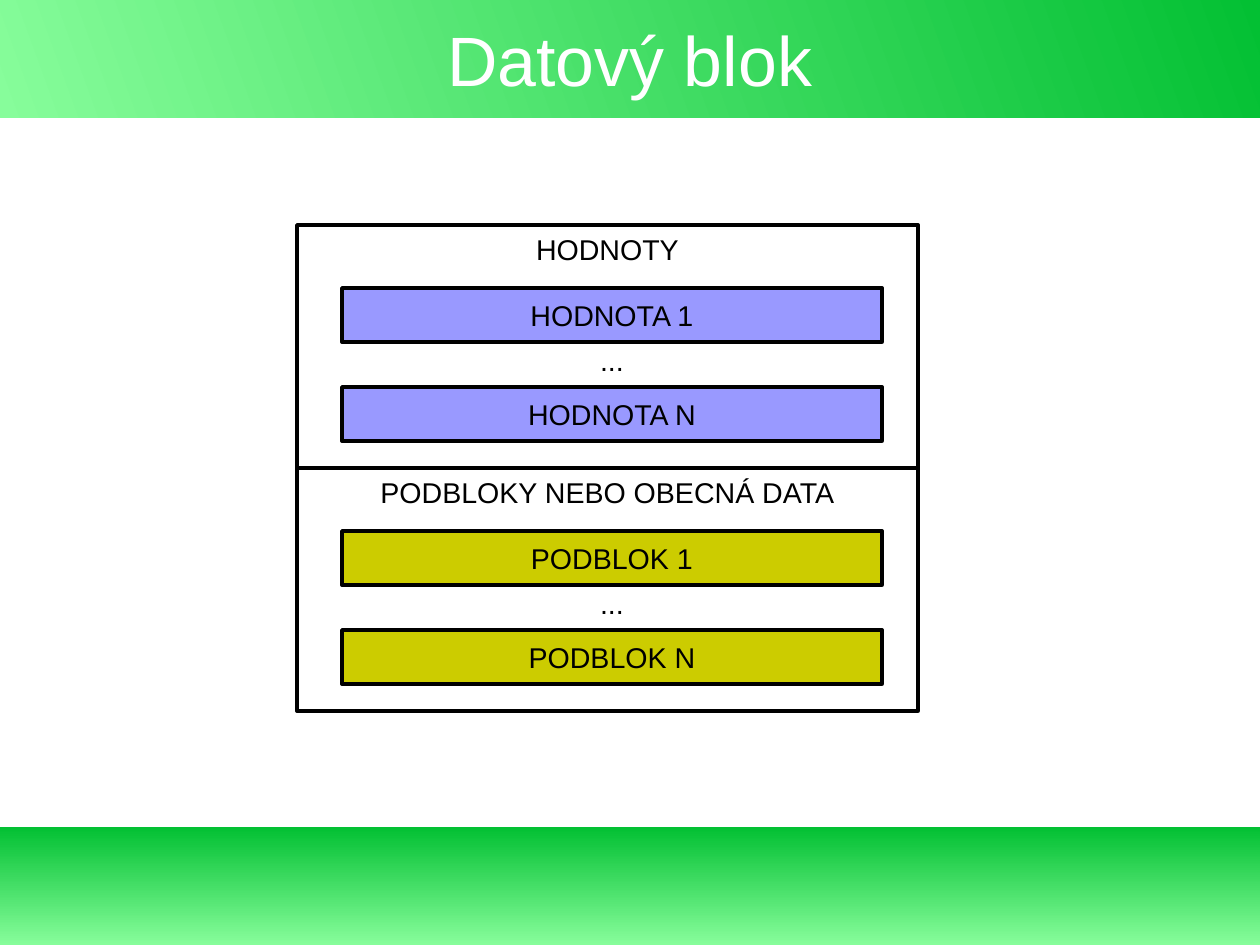
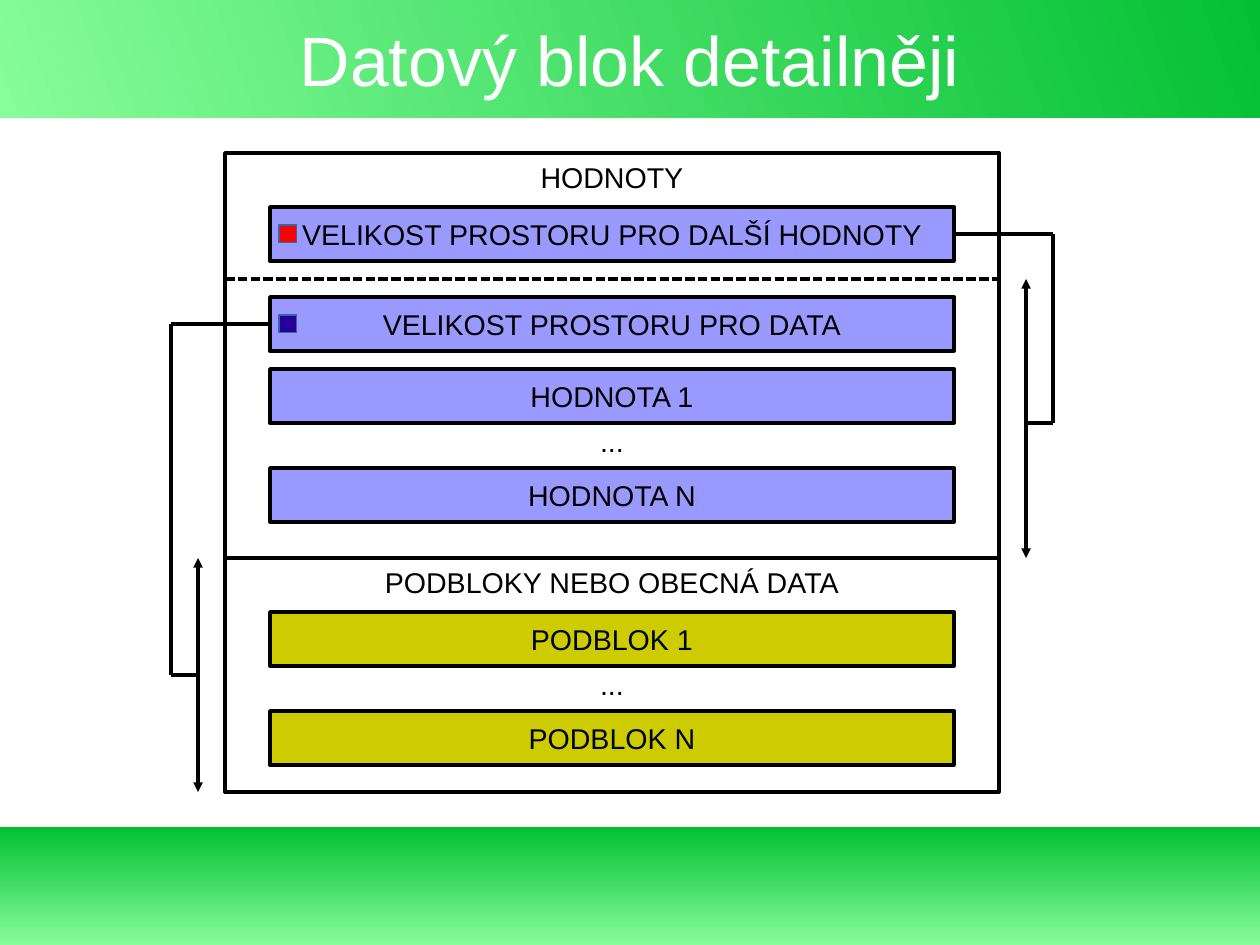
"""Builds two slides that explain the layout of a data block."""
from itertools import pairwise

from lxml.etree import SubElement
from pptx import Presentation
from pptx.dml.color import RGBColor
from pptx.enum.dml import MSO_LINE
from pptx.enum.shapes import MSO_CONNECTOR, MSO_SHAPE
from pptx.enum.text import MSO_ANCHOR, PP_ALIGN
from pptx.oxml.ns import qn
from pptx.util import Pt

PX = 8000
WIDTH, HEIGHT, BAND = 1260, 945, 118
FONT = "Arial"
BLACK = RGBColor(0x00, 0x00, 0x00)
WHITE = RGBColor(0xFF, 0xFF, 0xFF)
LIGHT_GREEN = RGBColor(0x87, 0xFD, 0x9B)
GREEN = RGBColor(0x03, 0xC0, 0x33)
LILAC = RGBColor(0x99, 0x99, 0xFF)
OLIVE = RGBColor(0xCC, 0xCC, 0x00)
RED = RGBColor(0xFF, 0x00, 0x00)
INDIGO = RGBColor(0x28, 0x00, 0x99)
STEEL = RGBColor(0x34, 0x65, 0xA4)

BAR_HEIGHT, DOTS_STEP, LAST_STEP = 54, 45, 99
MARKER = 18
VALUES, BLOCKS = "HODNOTY", "PODBLOKY NEBO OBECNÁ DATA"

SLIDES = [
    {
        "title": "Datový blok",
        "panel": (297, 621),
        "bar": (342, 540),
        "panels": [
            {"top": 225, "height": 243, "heading": VALUES, "color": LILAC,
             "name": "HODNOTA", "first": 288},
            {"top": 468, "height": 243, "heading": BLOCKS, "color": OLIVE,
             "name": "PODBLOK", "first": 531},
        ],
    },
    {
        "title": "Datový blok detailněji",
        "panel": (225, 774),
        "bar": (270, 684),
        "panels": [
            {"top": 153, "height": 405, "heading": VALUES, "color": LILAC,
             "name": "HODNOTA", "first": 369,
             "sizes": [(207, "VELIKOST PROSTORU PRO DALŠÍ HODNOTY", RED),
                       (297, "VELIKOST PROSTORU PRO DATA", INDIGO)]},
            {"top": 558, "height": 234, "heading": BLOCKS, "color": OLIVE,
             "name": "PODBLOK", "first": 612},
        ],
        "divider": [(225, 279), (999, 279)],
        "brackets": [
            [(954, 234), (1053, 234), (1053, 423), (1026, 423)],
            [(270, 324), (171, 324), (171, 675), (198, 675)],
        ],
        "spans": [[(1026, 279), (1026, 558)], [(198, 558), (198, 792)]],
    },
]


def emu(*lengths):
    return [length * PX for length in lengths]


def add_box(page, area, fill=None, line=None, weight=0):
    box = page.shapes.add_shape(MSO_SHAPE.RECTANGLE, *emu(*area))
    box.shadow.inherit = False
    if fill is None:
        box.fill.background()
    else:
        box.fill.solid()
        box.fill.fore_color.rgb = fill
    if line is None:
        box.line.fill.background()
    else:
        box.line.color.rgb = line
        box.line.width = Pt(weight)
        SubElement(box.line._get_or_add_ln(), qn("a:round"))
    return box


def write(box, text, size=18, color=BLACK, anchor=MSO_ANCHOR.MIDDLE, insets=(13, 7), wrap=False):
    frame = box.text_frame
    frame.word_wrap = wrap
    frame.vertical_anchor = anchor
    frame.margin_left = frame.margin_right = insets[0] * PX
    frame.margin_top = frame.margin_bottom = insets[1] * PX
    para = frame.paragraphs[0]
    para.text = text
    para.alignment = PP_ALIGN.CENTER
    para.font.name = FONT
    para.font.size = Pt(size)
    para.font.color.rgb = color


def add_line(page, start, end, dash=None, arrows=False):
    line = page.shapes.add_connector(MSO_CONNECTOR.STRAIGHT, *emu(*start, *end))
    line.line.color.rgb = BLACK
    line.line.width = Pt(0)
    if dash is not None:
        line.line.dash_style = dash
    if arrows:
        for tag in ("a:headEnd", "a:tailEnd"):
            SubElement(line.line._get_or_add_ln(), qn(tag), type="triangle")
    SubElement(line._element.spPr, qn("a:effectLst"))


def add_frame(page, title):
    for top, angle in ((0, 20), (HEIGHT - BAND, 90)):
        band = add_box(page, (0, top, WIDTH, BAND))
        band.fill.gradient()
        band.fill.gradient_angle = angle
        for stop, color in zip(band.fill.gradient_stops, (LIGHT_GREEN, GREEN)):
            stop.color.rgb = color
    box = page.shapes.add_textbox(*emu(63, 19, 1134, 80))
    write(box, title, size=44, color=WHITE, insets=(0, 0), wrap=True)


def add_panel(page, panel, panel_span, bar_span):
    left, width = panel_span
    bar_left, bar_width = bar_span
    outline = add_box(page, (left, panel["top"], width, panel["height"]), None, BLACK, 2.3)
    write(outline, panel["heading"], anchor=MSO_ANCHOR.TOP)

    first, name = panel["first"], panel["name"]
    dots = page.shapes.add_textbox(*emu(bar_left, first + DOTS_STEP, bar_width, BAR_HEIGHT))
    write(dots, "...")
    sizes = panel.get("sizes", [])
    bars = [(top, text) for top, text, _ in sizes]
    bars += [(first, f"{name} 1"), (first + LAST_STEP, f"{name} N")]
    for top, text in bars:
        bar = add_box(page, (bar_left, top, bar_width, BAR_HEIGHT), panel["color"], BLACK, 2.3)
        write(bar, text)
    for top, _, color in sizes:
        add_box(page, (bar_left + MARKER // 2, top + MARKER, MARKER, MARKER), color, STEEL)


def main():
    deck = Presentation()
    deck.slide_width, deck.slide_height = emu(WIDTH, HEIGHT)
    for content in SLIDES:
        page = deck.slides.add_slide(deck.slide_layouts[6])
        add_frame(page, content["title"])
        for panel in content["panels"]:
            add_panel(page, panel, content["panel"], content["bar"])
        if "divider" in content:
            add_line(page, *content["divider"], dash=MSO_LINE.SQUARE_DOT)
        for bracket in content.get("brackets", []):
            for start, end in pairwise(bracket):
                add_line(page, start, end)
        for start, end in content.get("spans", []):
            add_line(page, start, end, arrows=True)
    deck.save("out.pptx")


if __name__ == "__main__":
    main()
